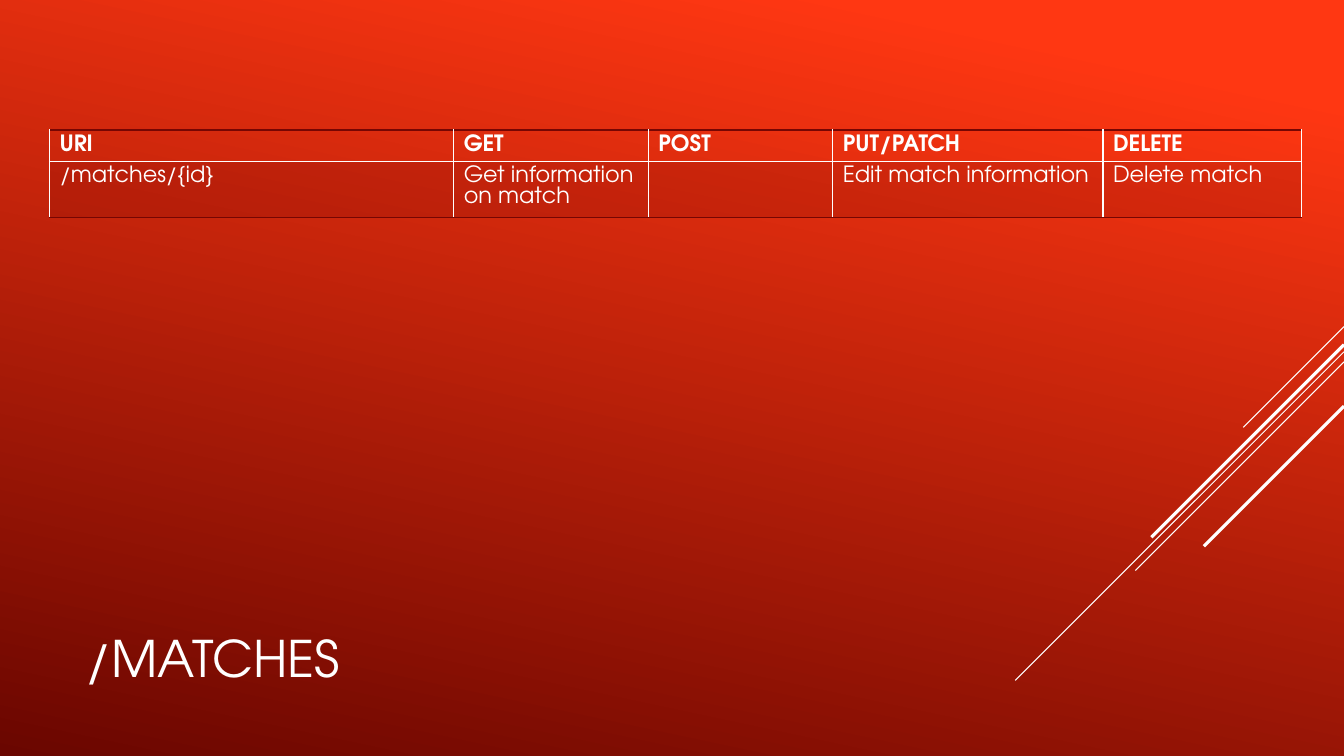
from lxml.etree import SubElement
from pptx import Presentation
from pptx.dml.color import RGBColor
from pptx.enum.shapes import MSO_CONNECTOR
from pptx.enum.text import MSO_ANCHOR, PP_ALIGN
from pptx.oxml import parse_xml
from pptx.oxml.ns import nsdecls, qn
from pptx.util import Inches, Pt

WHITE = RGBColor(0xFF, 0xFF, 0xFF)
BRIGHT = RGBColor(0xFF, 0x37, 0x12)
DARK = RGBColor(0x6A, 0x06, 0x00)
MAROON = RGBColor(0x76, 0x06, 0x03)
FONT = "TeX Gyre Adventor"

# Each ray runs down and left from the right edge: top, reach, weight
RAYS = [(3.24, 1, 0.75), (3.49, 3.26, 0.75), (3.59, 2.07, 0.75),
        (3.42, 1.91, 2.25), (4.03, 1.39, 2.25)]
WIDTHS = [4.01, 1.93, 1.83, 2.68, 1.97]
HEIGHTS = [0.31, 0.56]
ROUTES = [
    ["URI", "GET", "POST", "PUT/PATCH", "DELETE"],
    ["/matches/{id}", "Get information on match", "",
     "Edit match information", "Delete match"],
]


class Deck:
    """Holds the style and the current slide."""

    def __init__(self, show):
        """Add a title-only slide to the show."""
        self.slide = show.slides.add_slide(show.slide_layouts[5])
        self.shapes = self.slide.shapes

    def paint(self, angle, *stops):
        """Fill the background with a gradient of (place, colour) stops."""
        fill = self.slide.background.fill
        fill.gradient()
        fill.gradient_angle = angle
        for stop, (place, color) in zip(fill.gradient_stops, stops):
            stop.position = place
            stop.color.rgb = color

    def style(self, para, size, bold=False):
        """Format the runs of a paragraph."""
        para.alignment = PP_ALIGN.LEFT
        for run in para.runs:
            font = run.font
            font.name, font.size, font.bold = FONT, Pt(size), bold
            font.color.rgb = WHITE

    def title(self, text, left, top, width, height):
        """Place and format the title."""
        box = self.shapes.title
        box.left, box.top = Inches(left), Inches(top)
        box.width, box.height = Inches(width), Inches(height)
        frame = box.text_frame
        frame.text = text
        frame.word_wrap = True
        frame.vertical_anchor = MSO_ANCHOR.MIDDLE
        self.style(frame.paragraphs[0], 36)

    def ray(self, right, top, reach, weight):
        """Draw a diagonal line from the right edge."""
        line = self.shapes.add_connector(
            MSO_CONNECTOR.STRAIGHT, Inches(right), Inches(top),
            Inches(right - reach), Inches(top + reach))
        line.line.color.rgb = WHITE
        line.line.width = Pt(weight)
        SubElement(line._element.spPr, qn("a:effectLst"))

    def border(self, cell, *sides):
        """Rule the given sides of a cell."""
        props = cell._tc.get_or_add_tcPr()
        for spot, side in enumerate(sides):
            props.insert(spot, parse_xml(
                f'<a:ln{side} {nsdecls("a")} w="{Pt(1)}"><a:solidFill>'
                f'<a:srgbClr val="{MAROON}"/></a:solidFill></a:ln{side}>'))

    def tint(self, cell, alpha):
        """Fill a cell with see-through maroon."""
        cell.fill.solid()
        cell.fill.fore_color.rgb = MAROON
        color = cell._tc.tcPr.find(".//" + qn("a:srgbClr"))
        SubElement(color, qn("a:alpha"), val=str(alpha * 1000))

    def table(self, rows, left, top, widths, heights):
        """Add a ruled table with a bold header and tinted body."""
        grid = self.shapes.add_table(
            len(rows), len(widths), Inches(left), Inches(top),
            Inches(sum(widths)), Inches(sum(heights))).table
        grid.horz_banding = False
        for col, width in zip(grid.columns, widths):
            col.width = Inches(width)
        for r, (row, height) in enumerate(zip(rows, heights)):
            grid.rows[r].height = Inches(height)
            for c, text in enumerate(row):
                cell = grid.cell(r, c)
                cell.text_frame.text = text
                para = cell.text_frame.paragraphs[0]
                para.line_spacing = Pt(15)
                self.style(para, 16, bold=r == 0)
                if r == 0:
                    cell.fill.background()
                    self.border(cell, "T", "B")
                else:
                    self.tint(cell, 20)
                    self.border(cell, "B")


def main():
    """Build and save the slide."""
    show = Presentation()
    show.slide_width, show.slide_height = Inches(13.33), Inches(7.5)
    deck = Deck(show)
    deck.paint(258, (0.1, BRIGHT), (1, DARK))
    for top, reach, weight in RAYS:
        deck.ray(13.33, top, reach, weight)
    deck.title("/MATCHES", 0.75, 5.7, 9.33, 1.65)
    deck.table(ROUTES, 0.49, 1.29, WIDTHS, HEIGHTS)
    show.save("out.pptx")


main()
